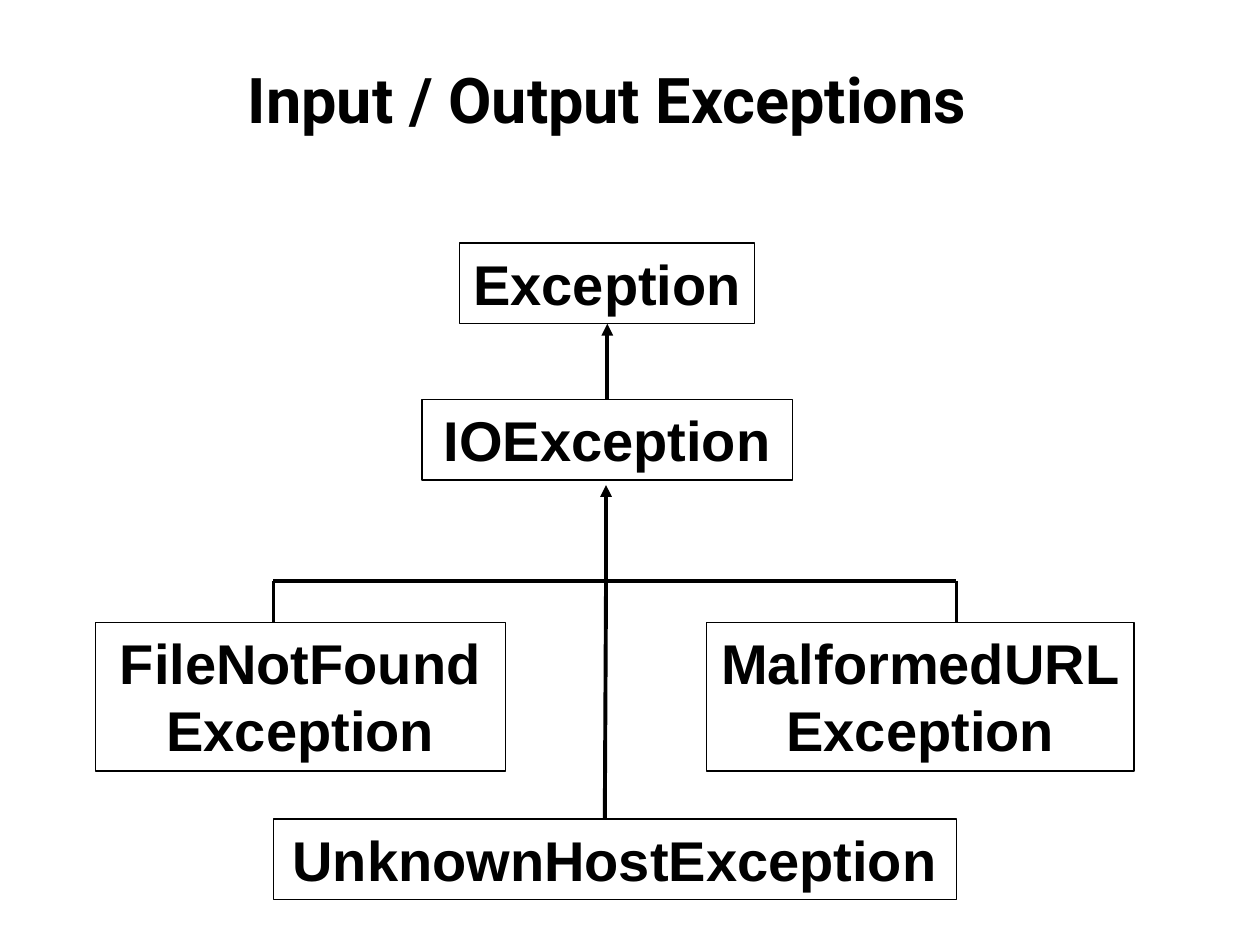
"""Draw the tree of input and output exceptions."""
from typing import NamedTuple

from lxml.etree import SubElement
from pptx import Presentation
from pptx.dml.color import RGBColor
from pptx.enum.shapes import MSO_CONNECTOR as Link, MSO_SHAPE as Kind
from pptx.enum.text import MSO_ANCHOR as Anchor, PP_ALIGN as Align
from pptx.oxml.ns import qn
from pptx.shapes.base import BaseShape
from pptx.slide import Slide
from pptx.util import Inches, Pt

BLACK = RGBColor(0, 0, 0)
MID, LEFT, RIGHT = 4.81, 2.17, 7.59
BAR, ROW, LAST = 4.61, 4.94, 6.5


class Box(NamedTuple):
    left: float
    top: float
    width: float
    height: float
    lines: tuple[str, ...]
    wrap: bool = True


class Line(NamedTuple):
    start: tuple[float, float]
    end: tuple[float, float]
    width: float = 2.25
    arrow: bool = False


TITLE = Box(0.36, 0.43, 8.92, 0.71, ("Input / Output Exceptions",))
BOXES = [
    Box(3.65, 1.93, 2.34, 0.64, ("Exception",), False),
    Box(3.35, 3.17, 2.94, 0.64, ("IOException",)),
    Box(0.76, ROW, 3.25, 1.18, ("FileNotFound", "Exception")),
    Box(5.61, ROW, 3.39, 1.18, ("MalformedURL", "Exception")),
    Box(LEFT, LAST, RIGHT - LEFT, 0.64, ("UnknownHostException",)),
]
LINES = [
    Line((4.82, 3.17), (4.82, 2.57), arrow=True),
    Line((LEFT, BAR), (RIGHT, BAR), 2),
    Line((LEFT, BAR), (LEFT, ROW), 2),
    Line((RIGHT, BAR), (RIGHT, ROW), 2),
    Line((MID, BAR), (MID, 3.85), arrow=True),
    Line((4.8, LAST), (MID, BAR)),
]


def write(shape: BaseShape, box: Box, font: str, size: int) -> None:
    frame = shape.text_frame
    frame.word_wrap = box.wrap
    frame.vertical_anchor = Anchor.TOP
    for i, text in enumerate(box.lines):
        para = frame.add_paragraph() if i else frame.paragraphs[0]
        para.alignment = Align.CENTER
        run = para.add_run()
        run.text = text
        run.font.name = font
        run.font.size = Pt(size)
        run.font.bold = True
        run.font.color.rgb = BLACK


def draw_box(slide: Slide, box: Box) -> None:
    shape = slide.shapes.add_shape(Kind.RECTANGLE, *map(Inches, box[:4]))
    shape.shadow.inherit = False
    shape.fill.background()
    shape.line.color.rgb = BLACK
    shape.line.width = Pt(0.75)
    write(shape, box, "Arial", 32)


def draw_line(slide: Slide, line: Line) -> None:
    ends = map(Inches, line.start + line.end)
    link = slide.shapes.add_connector(Link.STRAIGHT, *ends)
    link.line.color.rgb = BLACK
    link.line.width = Pt(line.width)
    if line.arrow:
        SubElement(link.line._get_or_add_ln(), qn("a:tailEnd"), type="triangle")
    SubElement(link._element.spPr, qn("a:effectLst"))


def main() -> None:
    deck = Presentation()
    deck.slide_width, deck.slide_height = Inches(10), Inches(7.5)
    slide = deck.slides.add_slide(deck.slide_layouts[6])
    head = slide.shapes.add_textbox(*map(Inches, TITLE[:4]))
    write(head, TITLE, "Roboto", 36)
    for box in BOXES:
        draw_box(slide, box)
    for line in LINES:
        draw_line(slide, line)
    deck.save("out.pptx")


if __name__ == "__main__":
    main()
